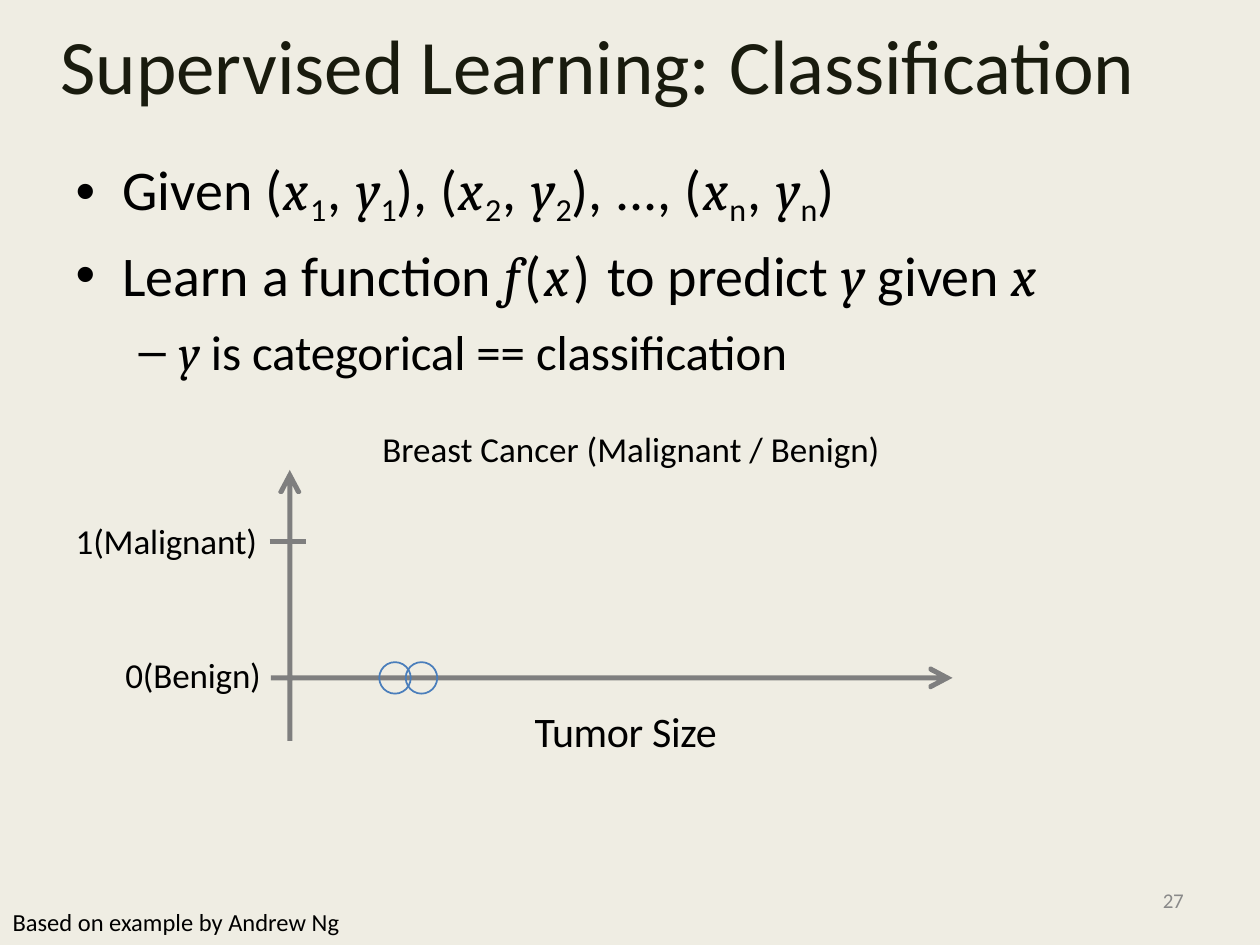
from lxml.etree import SubElement
from pptx import Presentation
from pptx.dml.color import RGBColor
from pptx.enum.shapes import MSO_CONNECTOR, MSO_SHAPE
from pptx.enum.text import MSO_ANCHOR, MSO_AUTO_SIZE, PP_ALIGN
from pptx.oxml.ns import qn
from pptx.util import Inches, Pt

COLS = 100
CELL = Inches(10) // COLS
INK, DARK, GREY, BLUE, PAPER, PALE = "000000", "191B0E", "7F7F7F", "4A7EBB", "EFEDE3", "898989"
AXIS_X, BASE_Y, ONE_Y = 23, 53.8, 43
LEFT, RIGHT, TOP, FOOT, HALF = 21.5, 75.6, 37.3, 58.8, 0.2
BARB = [(1.2, 0.2), (1.8, 0.5), (1.9, 0.6), (1.9, 0.8), (1.8, 0.9), (1.7, 0.9)]


def grid(*cells):
    return [round(cell * CELL) for cell in cells]


def tint(code):
    return RGBColor.from_string(code)


def place(shape, cells):
    shape.left, shape.top, shape.width, shape.height = grid(*cells)
    frame = shape.text_frame
    frame.word_wrap = True
    frame.auto_size = MSO_AUTO_SIZE.NONE
    frame.vertical_anchor = MSO_ANCHOR.TOP
    frame.margin_left = frame.margin_right = 0
    frame.margin_top = frame.margin_bottom = 0
    return frame


def add_run(line, text, size, color=INK, gap=0, math=False, sub=False):
    run = line.add_run()
    run.text = text
    font = run.font
    font.size = Pt(size)
    font.name = "Cambria" if math else "Calibri"
    font.italic = math
    font.color.rgb = tint(color)
    props = font._element
    if gap:
        props.set("spc", str(round(gap * 100)))
    if sub:
        props.set("baseline", "-19000")


def add_point(frame, mark, left, hang, before, first=False):
    line = frame.paragraphs[0] if first else frame.add_paragraph()
    props = line._p.get_or_add_pPr()
    props.set("marL", str(Inches(left)))
    props.set("indent", str(Inches(-hang)))
    SubElement(props, qn("a:buFont")).set("typeface", "Arial")
    SubElement(props, qn("a:buChar")).set("char", mark)
    line.space_before = Pt(before)
    line.line_spacing = 1.0
    return line


def add_pair(line, sub, tail):
    add_run(line, "(", 32, gap=0.8)
    add_run(line, "x", 32, gap=0.8, math=True)
    add_run(line, sub, 31.5, gap=0.8, sub=True)
    add_run(line, ", ", 32, gap=0.6)
    add_run(line, "y", 32, math=True)
    add_run(line, sub, 31.5, sub=True)
    add_run(line, tail, 32)


def fill_title(shape):
    line = place(shape, (4.8, 1.4, 87.4, 7.5)).paragraphs[0]
    line.alignment = PP_ALIGN.LEFT
    add_run(line, "Supervised Learning: ", 44, DARK)
    add_run(line, "Classification", 44, DARK, gap=-0.1)


def fill_body(shape):
    frame = place(shape, (5.3, 12.3, 84, 20))
    line = add_point(frame, "•", 0.44, 0.37, 0, first=True)
    add_run(line, "Given ", 32)
    for sub, tail in (("1", "), "), ("2", "), ..., "), ("n", ")")):
        add_pair(line, sub, tail)

    line = add_point(frame, "•", 0.44, 0.37, 7.4)
    add_run(line, "Learn a function ", 32)
    for text, math in (("f", True), ("(", False), ("x", True)):
        add_run(line, text, 32, gap=2.1, math=math)
    add_run(line, ") ", 32, gap=1.2)
    add_run(line, "to predict ", 32)
    add_run(line, "y ", 32, math=True)
    add_run(line, "given ", 32)
    add_run(line, "x", 32, math=True)

    line = add_point(frame, "–", 0.89, 0.32, 7.6)
    add_run(line, "y ", 28, math=True)
    add_run(line, "is ", 28)
    add_run(line, "categorical ", 28, gap=-0.1)
    add_run(line, "== ", 28)
    add_run(line, "classification", 28, gap=-0.1)


def add_label(slide, cells, text, size, align=PP_ALIGN.LEFT, color=INK, gap=0):
    frame = place(slide.shapes.add_textbox(0, 0, 0, 0), cells)
    line = frame.paragraphs[0]
    line.alignment = align
    add_run(line, text, size, color, gap)


def add_axes(slide):
    def east(side):
        return [(RIGHT - back, BASE_Y + side * off) for back, off in BARB]

    def north(side):
        return [(AXIS_X + side * off, TOP + back) for back, off in BARB]

    west, mid = AXIS_X - HALF, AXIS_X + HALF
    high, low = BASE_Y - HALF, BASE_Y + HALF
    dots = [(RIGHT, BASE_Y), *east(-1)[::-1], (mid, high),
            *north(1), (AXIS_X, TOP), *north(-1)[::-1],
            (west, high), (LEFT, high), (LEFT, low), (west, low),
            (west, FOOT), (mid, FOOT), (mid, low), *east(1)]
    first, *rest = [tuple(grid(*dot)) for dot in dots]
    pen = slide.shapes.build_freeform(*first)
    pen.add_line_segments(rest, close=True)
    axes = pen.convert_to_shape()
    axes.shadow.inherit = False
    axes.fill.solid()
    axes.fill.fore_color.rgb = tint(GREY)
    axes.line.fill.background()


def add_tick(slide):
    tick = slide.shapes.add_connector(
        MSO_CONNECTOR.STRAIGHT, *grid(21.4, ONE_Y, 24.3, ONE_Y))
    tick.line.color.rgb = tint(GREY)
    tick.line.width = Pt(3)
    SubElement(tick._element.spPr, qn("a:effectLst"))


def add_ring(slide, left):
    size = 2.5
    ring = slide.shapes.add_shape(
        MSO_SHAPE.OVAL, *grid(left, BASE_Y - size / 2, size, size))
    ring.shadow.inherit = False
    ring.fill.background()
    ring.line.color.rgb = tint(BLUE)
    ring.line.width = Pt(1)


def add_plot(slide):
    add_axes(slide)
    add_tick(slide)
    for left in (32.2, 30.1):
        add_ring(slide, left)
    mid, right = PP_ALIGN.CENTER, PP_ALIGN.RIGHT
    add_label(slide, (28.1, 33.9, 44, 3.4), "Breast Cancer (Malignant / Benign)", 20, mid)
    add_label(slide, (4.4, ONE_Y - 1.8, 16, 3.4), "1(Malignant)", 20, right, gap=-0.1)
    add_label(slide, (4.7, BASE_Y - 1.9, 16, 3.4), "0(Benign)", 20, right, gap=-0.1)
    add_label(slide, (40, 56, 19.3, 4.1), "Tumor Size", 24, mid, gap=-0.2)


def main():
    deck = Presentation()
    deck.slide_width, deck.slide_height = grid(COLS, 75)
    slide = deck.slides.add_slide(deck.slide_layouts[1])
    slide.background.fill.solid()
    slide.background.fill.fore_color.rgb = tint(PAPER)
    fill_title(slide.shapes.title)
    fill_body(slide.placeholders[1])
    add_plot(slide)
    add_label(slide, (1, 72, 30, 2.5), "Based on example by Andrew Ng", 14)
    add_label(slide, (92.3, 70.4, 3, 2.2), "27", 12, color=PALE, gap=-0.2)
    deck.save("out.pptx")


if __name__ == "__main__":
    main()
